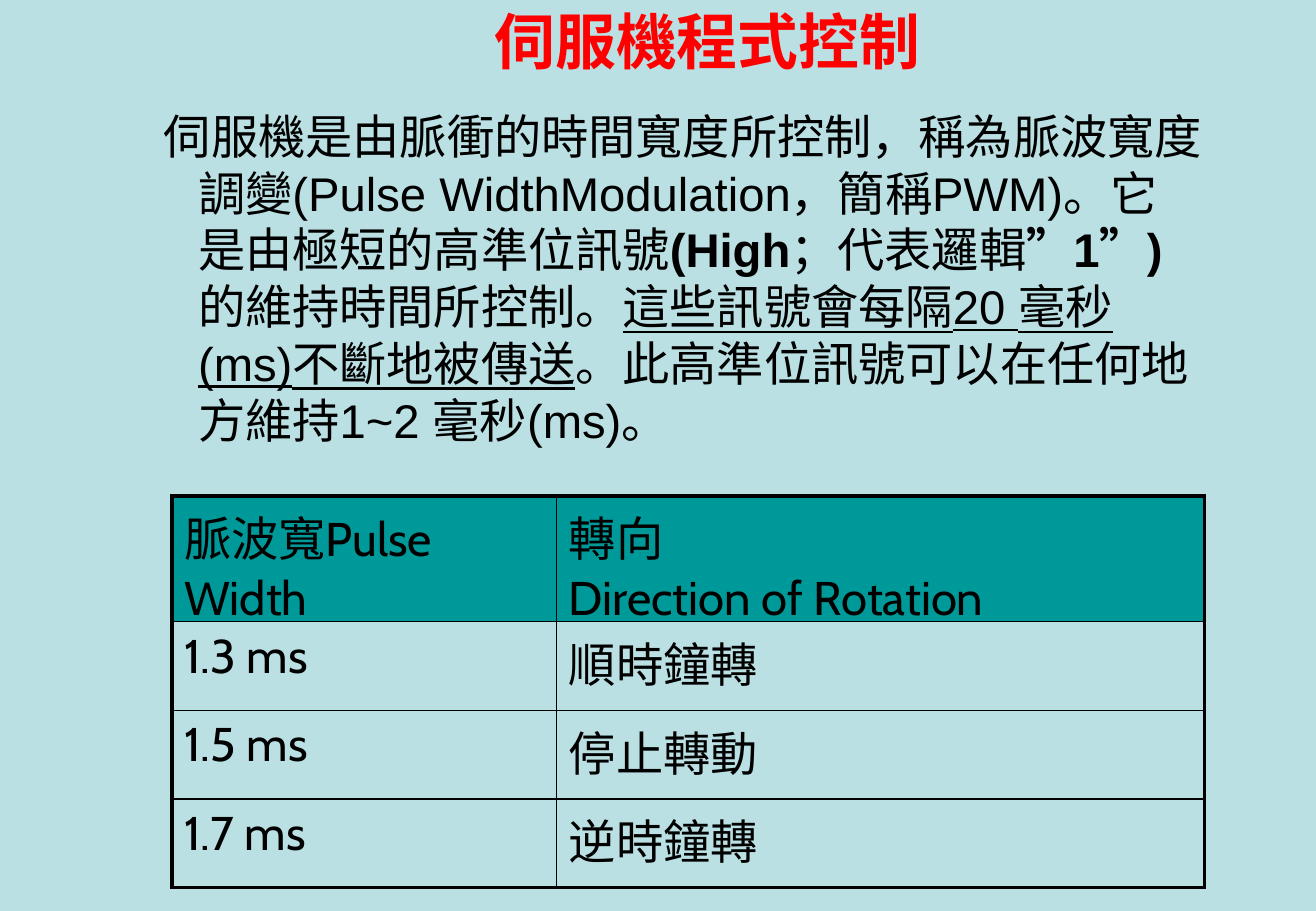
from dataclasses import dataclass

from lxml import etree
from pptx import Presentation
from pptx.dml.color import RGBColor
from pptx.enum.text import MSO_ANCHOR, MSO_AUTO_SIZE, PP_ALIGN
from pptx.oxml.ns import qn
from pptx.table import _Cell
from pptx.text.text import _Paragraph
from pptx.util import Pt

CENTER, LEFT = PP_ALIGN.CENTER, PP_ALIGN.LEFT
TOP, MIDDLE = MSO_ANCHOR.TOP, MSO_ANCHOR.MIDDLE
GROW = MSO_AUTO_SIZE.SHAPE_TO_FIT_TEXT
NO_FIT = MSO_AUTO_SIZE.NONE

PALE_BLUE = RGBColor(0xBB, 0xE0, 0xE3)
TEAL = RGBColor(0x00, 0x99, 0x99)
RED = RGBColor(0xFF, 0x00, 0x00)
BLACK = RGBColor(0x00, 0x00, 0x00)

OUTER_LINE, INNER_LINE = Pt(2.25), Pt(1)


@dataclass(frozen=True)
class Phrase:
    text: str
    bold: bool = False
    underline: bool = False
    size: float = 28
    font: str = "Arial"
    color: RGBColor = BLACK


HEADING = Phrase("伺服機程式控制", bold=True, size=36, color=RED)
EXPLANATION = [
    Phrase("伺服機是由脈衝的時間寬度所控制，稱為脈波寬度調變(Pulse WidthModulation，"
           "簡稱PWM)。它是由極短的高準位訊號"),
    Phrase("(High", bold=True),
    Phrase("；代表邏輯"),
    Phrase("”1”)", bold=True),
    Phrase("的維持時間所控制。"),
    Phrase("這些訊號會每隔20 毫秒(ms)不斷地被傳送", underline=True),
    Phrase("。此高準位訊號可以在任何地方維持1~2 毫秒(ms)。"),
]
PULSE_ROWS = [
    (["脈波寬Pulse Width"], ["轉向", "Direction of Rotation"]),
    (["1.3 ms"], ["順時鐘轉"]),
    (["1.5 ms"], ["停止轉動"]),
    (["1.7 ms"], ["逆時鐘轉"]),
]
COLUMN_WIDTHS = [Pt(228), Pt(384)]
ROW_HEIGHTS = [Pt(74)] + [Pt(52.6)] * 3


def add_phrase(paragraph: _Paragraph, phrase: Phrase) -> None:
    run = paragraph.add_run()
    run.text = phrase.text
    run.font.name = phrase.font
    run.font.size = Pt(phrase.size)
    run.font.bold = phrase.bold
    run.font.underline = phrase.underline
    run.font.color.rgb = phrase.color


def set_border(cell: _Cell, side: str, width: int) -> None:
    line = etree.SubElement(cell._tc.get_or_add_tcPr(), qn(f"a:{side}"), w=str(width))
    fill = etree.SubElement(line, qn("a:solidFill"))
    etree.SubElement(fill, qn("a:srgbClr"), val=str(BLACK))


def fill_cell(cell: _Cell, lines: list[str], row: int, column: int) -> None:
    outer_sides = {
        "lnL": column == 0,
        "lnR": column == len(COLUMN_WIDTHS) - 1,
        "lnT": row == 0,
        "lnB": row == len(PULSE_ROWS) - 1,
    }
    for side, is_outer in outer_sides.items():
        set_border(cell, side, OUTER_LINE if is_outer else INNER_LINE)
    if row == 0:
        cell.fill.solid()
        cell.fill.fore_color.rgb = TEAL
    else:
        cell.fill.background()
    for index, line in enumerate(lines):
        frame = cell.text_frame
        paragraph = frame.add_paragraph() if index else frame.paragraphs[0]
        add_phrase(paragraph, Phrase(line, font="Cabin"))


def main() -> None:
    deck = Presentation()
    deck.slide_width, deck.slide_height = Pt(780), Pt(540)
    slide = deck.slides.add_slide(deck.slide_layouts[1])
    slide.background.fill.solid()
    slide.background.fill.fore_color.rgb = PALE_BLUE

    title = slide.shapes.title
    title.left, title.top, title.width, title.height = Pt(58.5), Pt(0), Pt(721.5), Pt(48)
    title.text_frame.auto_size = NO_FIT
    title.text_frame.vertical_anchor = MIDDLE
    heading = title.text_frame.paragraphs[0]
    heading.alignment = CENTER
    add_phrase(heading, HEADING)

    body = slide.placeholders[1]
    body.left, body.top, body.width, body.height = Pt(90), Pt(60), Pt(630), Pt(251)
    body.text_frame.word_wrap = True
    body.text_frame.auto_size = GROW
    body.text_frame.vertical_anchor = TOP
    explanation = body.text_frame.paragraphs[0]
    explanation.alignment = LEFT
    explanation.space_before = Pt(0)
    properties = explanation._p.get_or_add_pPr()
    properties.set("marL", str(Pt(20.25)))
    properties.set("indent", str(-Pt(20.25)))
    etree.SubElement(properties, qn("a:buNone"))
    for phrase in EXPLANATION:
        add_phrase(explanation, phrase)

    pulse_table = slide.shapes.add_table(
        len(PULSE_ROWS), len(COLUMN_WIDTHS), Pt(102), Pt(294),
        sum(COLUMN_WIDTHS), sum(ROW_HEIGHTS)).table
    pulse_table.first_row = False
    pulse_table.horz_banding = False
    for column, width in zip(pulse_table.columns, COLUMN_WIDTHS):
        column.width = width
    for row, height in zip(pulse_table.rows, ROW_HEIGHTS):
        row.height = height
    for row_index, row_texts in enumerate(PULSE_ROWS):
        for column_index, lines in enumerate(row_texts):
            fill_cell(pulse_table.cell(row_index, column_index), lines,
                      row_index, column_index)

    deck.save("out.pptx")


if __name__ == "__main__":
    main()
